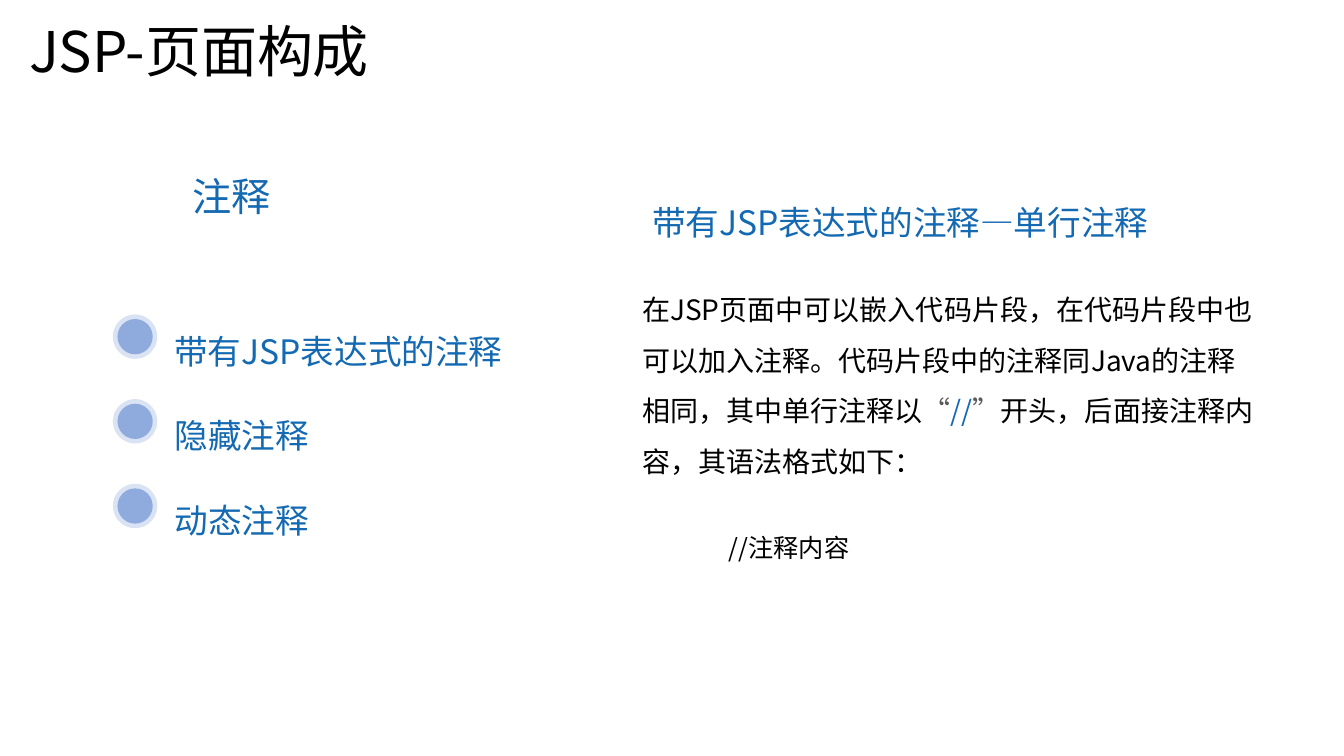
from dataclasses import dataclass

from lxml.etree import SubElement
from pptx import Presentation
from pptx.dml.color import RGBColor
from pptx.enum.shapes import MSO_SHAPE
from pptx.enum.text import MSO_ANCHOR, MSO_AUTO_SIZE, PP_ALIGN
from pptx.oxml.ns import qn
from pptx.shapes.group import GroupShape
from pptx.slide import Slide
from pptx.util import Inches, Pt

FONT = "Noto Sans CJK SC"
COLORS = {
    "black": "000000",
    "blue": "1369B2",
    "gray": "595959",
    "halo": "DAE3F3",
    "dot": "8FAADC",
}


@dataclass(frozen=True)
class TextBlock:
    left: float
    top: float
    width: float
    height: float
    size: int
    runs: tuple[tuple[str, str], ...]  # (text, colour name)
    line_spacing: float = 1.0
    alignment: PP_ALIGN = PP_ALIGN.LEFT
    anchor: MSO_ANCHOR = MSO_ANCHOR.TOP
    auto_size: MSO_AUTO_SIZE = MSO_AUTO_SIZE.SHAPE_TO_FIT_TEXT
    margin_x: float = 0.1
    margin_y: float = 0.05


@dataclass(frozen=True)
class ListItem:
    text: str
    width: float


ITEM_LEFT, ITEM_TOP, ITEM_PITCH = 1.6, 3.01, 0.84
ITEMS = (
    ListItem("带有JSP表达式的注释", 4.1),
    ListItem("隐藏注释", 3.38),
    ListItem("动态注释", 2.99),
)
BULLET_CENTER_X, BULLET_OFFSET_Y = 1.34, 0.33
BULLET_RINGS = ((0.44, "halo"), (0.35, "dot"))

BLOCKS = (
    TextBlock(0.19, 0.04, 11.7, 0.99, 40, (("JSP-页面构成", "black"),),
              line_spacing=0.9, anchor=MSO_ANCHOR.MIDDLE,
              auto_size=MSO_AUTO_SIZE.NONE),
    TextBlock(1.81, 1.66, 2.79, 0.57, 28, (("注释", "blue"),)),
    TextBlock(6.37, 1.95, 5.52, 0.5, 24,
              (("带有JSP表达式的注释—单行注释", "blue"),)),
    TextBlock(6.27, 2.69, 6.34, 2.08, 20, (
        ("在JSP页面中可以嵌入代码片段，在代码片段中也可以加入注释。"
         "代码片段中的注释同Java的注释相同，其中单行注释以", "black"),
        ("“", "gray"),
        ("//", "blue"),
        ("”", "gray"),
        ("开头，后面接注释内容，其语法格式如下：", "black"),
    ), line_spacing=1.5, auto_size=MSO_AUTO_SIZE.NONE),
    TextBlock(7.13, 5.23, 1.46, 0.4, 18, (("//注释内容", "black"),)),
)


def color(name: str) -> RGBColor:
    return RGBColor.from_string(COLORS[name])


def apply_format(target: object, values: dict[str, object]) -> None:
    for name, value in values.items():
        setattr(target, name, value)


def add_text(slide: Slide, block: TextBlock) -> None:
    box = slide.shapes.add_textbox(
        Inches(block.left), Inches(block.top),
        Inches(block.width), Inches(block.height))
    frame = box.text_frame
    apply_format(frame, {
        "word_wrap": True,
        "auto_size": block.auto_size,
        "vertical_anchor": block.anchor,
        "margin_left": Inches(block.margin_x),
        "margin_right": Inches(block.margin_x),
        "margin_top": Inches(block.margin_y),
        "margin_bottom": Inches(block.margin_y),
    })
    paragraph = frame.paragraphs[0]
    apply_format(paragraph, {
        "alignment": block.alignment,
        "line_spacing": block.line_spacing,
    })
    for text, color_name in block.runs:
        run = paragraph.add_run()
        run.text = text
        apply_format(run.font, {"size": Pt(block.size), "name": FONT})
        run.font.color.rgb = color(color_name)
        properties = run._r.get_or_add_rPr()
        SubElement(properties, qn("a:ea"), typeface=FONT)


def add_circle(group: GroupShape, center_y: float, diameter: float,
               color_name: str) -> None:
    circle = group.shapes.add_shape(
        MSO_SHAPE.OVAL,
        Inches(BULLET_CENTER_X - diameter / 2),
        Inches(center_y - diameter / 2),
        Inches(diameter), Inches(diameter))
    circle.shadow.inherit = False
    circle.fill.solid()
    circle.fill.fore_color.rgb = color(color_name)
    circle.line.fill.background()


def add_list_item(slide: Slide, item: ListItem, top: float) -> None:
    add_text(slide, TextBlock(
        ITEM_LEFT, top, item.width, 0.67, 24, ((item.text, "blue"),),
        line_spacing=1.5, alignment=PP_ALIGN.JUSTIFY,
        margin_x=0.13, margin_y=0.07))
    bullet = slide.shapes.add_group_shape()
    for diameter, color_name in BULLET_RINGS:
        add_circle(bullet, top + BULLET_OFFSET_Y, diameter, color_name)


def main() -> None:
    presentation = Presentation()
    presentation.slide_width = Inches(13.33)
    presentation.slide_height = Inches(7.5)
    slide = presentation.slides.add_slide(presentation.slide_layouts[6])
    for index, item in enumerate(ITEMS):
        add_list_item(slide, item, ITEM_TOP + index * ITEM_PITCH)
    for block in BLOCKS:
        add_text(slide, block)
    presentation.save("out.pptx")


if __name__ == "__main__":
    main()
